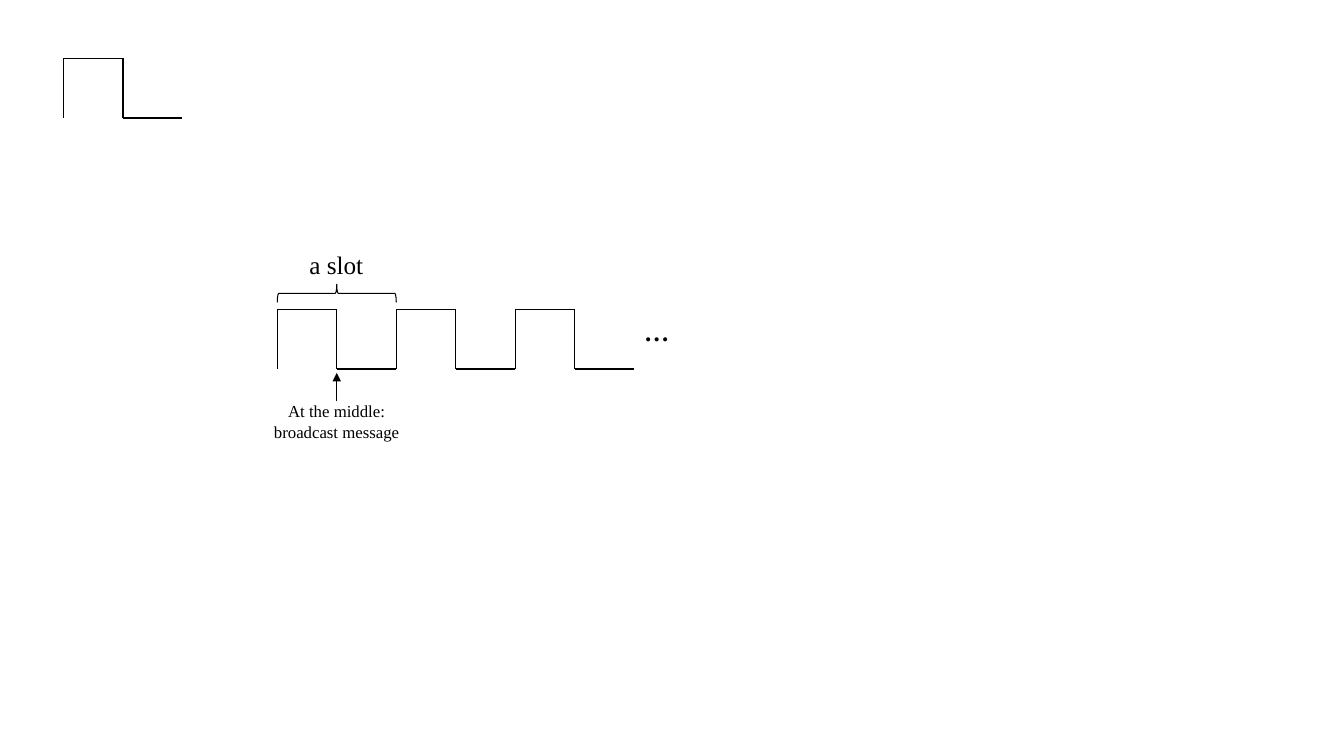
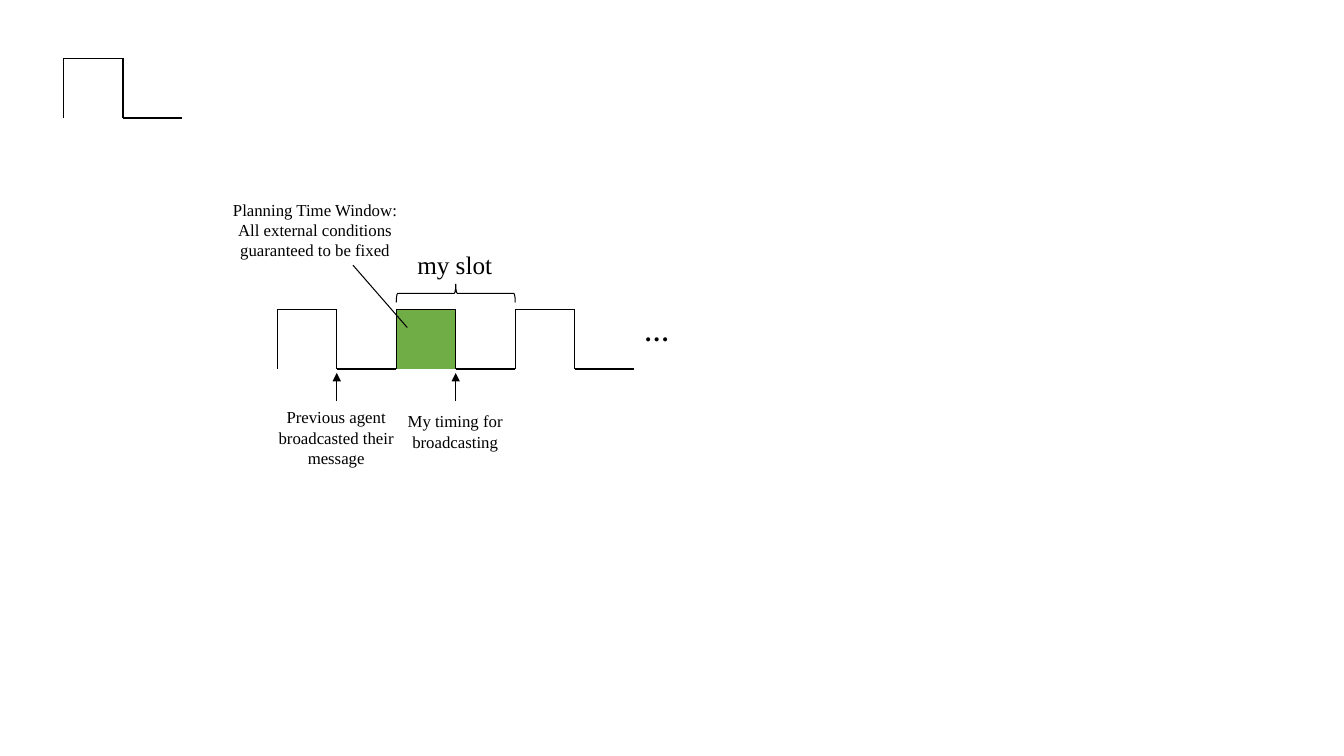
from lxml.etree import SubElement
from pptx import Presentation
from pptx.dml.color import RGBColor
from pptx.enum.shapes import MSO_CONNECTOR, MSO_SHAPE
from pptx.enum.text import MSO_AUTO_SIZE, PP_ALIGN
from pptx.oxml.ns import qn
from pptx.util import Inches, Pt

BLACK = "000000"
GREEN = "70AD47"
FONT = "Times New Roman"
HALF_SLOT = 0.59
SLOT = 2 * HALF_SLOT
WAVE_LEFT = 2.75
WAVE_TOP = 3.07
WAVE_BOTTOM = WAVE_TOP + HALF_SLOT
SLOT_COUNT = 3
THIN = 0.75
BLANK_LAYOUT = 6


def color(value):
    """Return the colour for a hex string."""
    return RGBColor.from_string(value)


def slot_left(index):
    """Return the left edge of a slot in the main wave."""
    return WAVE_LEFT + index * SLOT


class TimingDeck:
    """Hold the shared style and the slide being drawn."""

    def __init__(self):
        """Start a widescreen presentation."""
        self.presentation = Presentation()
        self.presentation.slide_width = Inches(13.33)
        self.presentation.slide_height = Inches(7.5)
        self.slide = None

    def add_slide(self):
        """Start a new blank slide."""
        layout = self.presentation.slide_layouts[BLANK_LAYOUT]
        self.slide = self.presentation.slides.add_slide(layout)

    def line(self, start, end, width=THIN, arrow=False, shapes=None):
        """Draw a straight line, with an arrowhead at its end if wanted."""
        target = self.slide.shapes if shapes is None else shapes
        points = [Inches(value) for value in (*start, *end)]
        connector = target.add_connector(MSO_CONNECTOR.STRAIGHT, *points)
        connector.line.color.rgb = color(BLACK)
        connector.line.width = Pt(width)
        if arrow:
            outline = connector.line._get_or_add_ln()
            SubElement(outline, qn("a:tailEnd"), type="triangle")
        SubElement(connector._element.spPr, qn("a:effectLst"))

    def pulse(self, left, top):
        """Draw one slot as a grouped high and low half."""
        shapes = self.slide.shapes.add_group_shape().shapes
        middle, right, bottom = left + HALF_SLOT, left + SLOT, top + HALF_SLOT
        corners = [(left, bottom), (left, top), (middle, top),
                   (middle, bottom), (right, bottom)]
        for start, end in zip(corners, corners[1:]):
            self.line(start, end, 1, shapes=shapes)

    def wave(self):
        """Draw the single pulse, the main wave and its ellipsis."""
        self.pulse(0.63, 0.58)
        for index in range(SLOT_COUNT):
            self.pulse(slot_left(index), WAVE_TOP)
        self.text(["…"], 6.29, 3.09, 0.45, 0.4, 18, bold=True)

    def shape(self, kind, left, top, width, height):
        """Add a preset shape without a shadow."""
        shape = self.slide.shapes.add_shape(
            kind, Inches(left), Inches(top), Inches(width), Inches(height))
        shape.shadow.inherit = False
        return shape

    def window(self, index):
        """Fill the high half of a slot."""
        shape = self.shape(MSO_SHAPE.RECTANGLE, slot_left(index), WAVE_TOP,
                           HALF_SLOT, HALF_SLOT)
        shape.fill.solid()
        shape.fill.fore_color.rgb = color(GREEN)
        shape.line.fill.background()

    def brace(self, index):
        """Draw a brace above a slot."""
        thickness = 0.18
        middle = slot_left(index) + HALF_SLOT
        brace = self.shape(MSO_SHAPE.LEFT_BRACE, middle - thickness / 2,
                           2.91 - HALF_SLOT, thickness, SLOT)
        brace.rotation = 90
        brace.adjustments[0] = 0.08
        brace.adjustments[1] = 0.5
        brace.fill.background()
        brace.line.color.rgb = color(BLACK)
        brace.line.width = Pt(THIN)

    def broadcast_arrow(self, index):
        """Point an arrow at the middle of a slot."""
        middle = slot_left(index) + HALF_SLOT
        self.line((middle, WAVE_BOTTOM + 0.32), (middle, WAVE_BOTTOM + 0.04),
                  arrow=True)

    def text(self, lines, left, top, width, height, size,
             bold=False, wrap=False, align=PP_ALIGN.LEFT):
        """Add a text box with one paragraph for each line."""
        box = self.slide.shapes.add_textbox(
            Inches(left), Inches(top), Inches(width), Inches(height))
        frame = box.text_frame
        frame.word_wrap = wrap
        frame.auto_size = MSO_AUTO_SIZE.SHAPE_TO_FIT_TEXT
        frame.text = "\n".join(lines)
        for paragraph in frame.paragraphs:
            paragraph.alignment = align
            for run in paragraph.runs:
                run.font.name = FONT
                run.font.size = Pt(size)
                run.font.bold = bold
                run.font.color.rgb = color(BLACK)

    def note(self, lines, left, top, width=1.87, height=0.5, wrap=True):
        """Add a small centred note."""
        self.text(lines, left, top, width, height, 12, wrap=wrap,
                  align=PP_ALIGN.CENTER)


def main():
    """Build both slides and save them."""
    deck = TimingDeck()

    deck.add_slide()
    deck.wave()
    deck.brace(0)
    deck.text(["a slot"], 2.97, 2.42, 0.74, 0.4, 18)
    deck.broadcast_arrow(0)
    deck.note(["At the middle:", "broadcast message"], 2.61, 3.93, 1.46,
              wrap=False)

    deck.add_slide()
    deck.window(1)
    deck.wave()
    deck.brace(1)
    deck.text(["my slot"], 4.04, 2.42, 0.95, 0.4, 18)
    deck.broadcast_arrow(0)
    deck.note(["Previous agent", "broadcasted their message"], 2.4, 3.99,
              height=0.71)
    deck.broadcast_arrow(1)
    deck.note(["My timing for broadcasting"], 3.58, 4.03)
    deck.line((3.5, 2.63), (4.04, 3.25))
    deck.note(["Planning Time Window:",
               "All external conditions guaranteed to be fixed"], 2.19, 1.93,
              height=0.71)

    deck.presentation.save("out.pptx")


if __name__ == "__main__":
    main()
